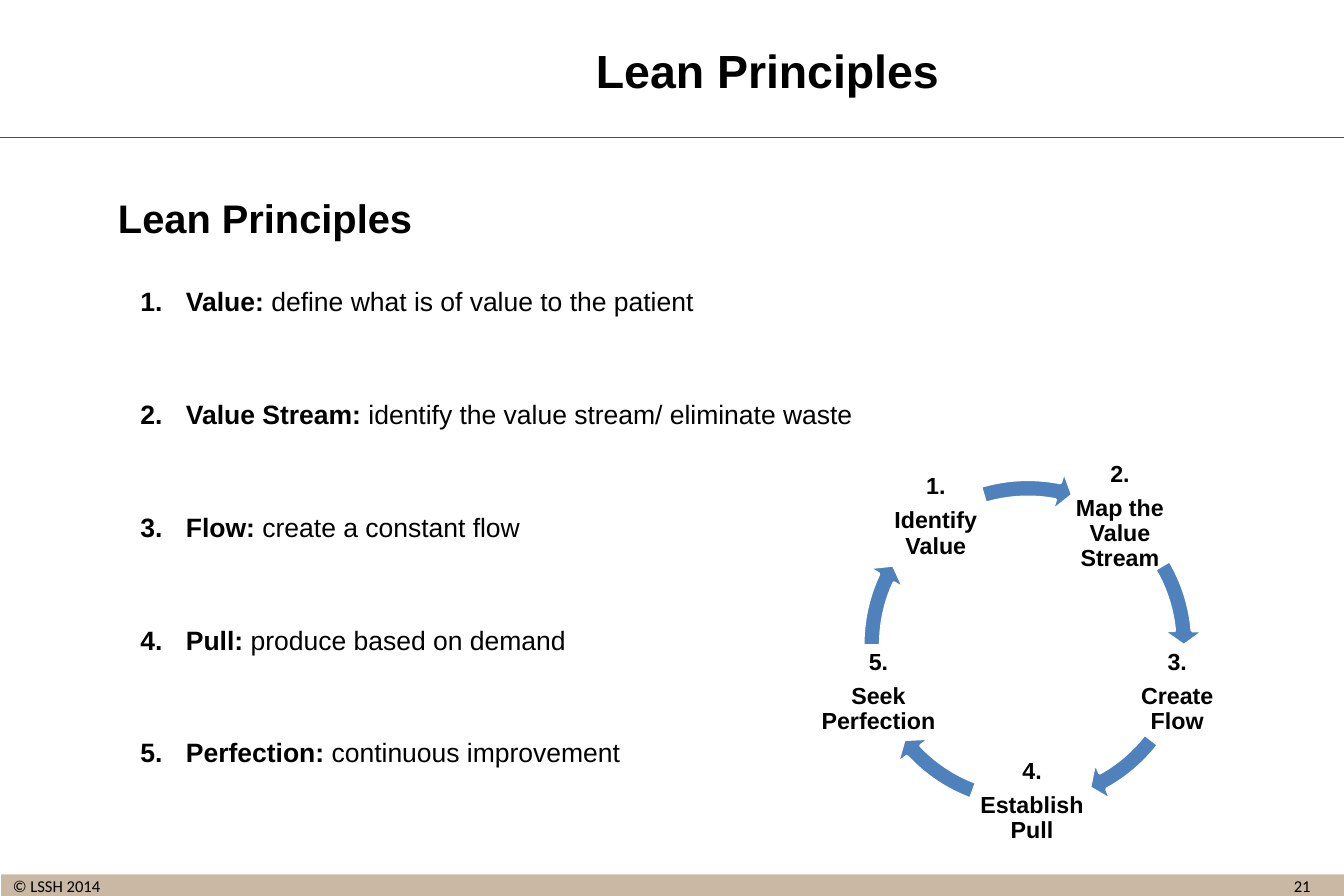
"""Build the Lean Principles slide with its numbered list and five-step cycle."""
from dataclasses import dataclass

from lxml.etree import SubElement
from pptx import Presentation
from pptx.dml.color import RGBColor
from pptx.enum.shapes import MSO_CONNECTOR, MSO_SHAPE
from pptx.enum.text import MSO_ANCHOR, PP_ALIGN
from pptx.oxml.ns import qn
from pptx.slide import Slide
from pptx.util import Pt

COLORS = {"text": "000000", "band": "C8B8A4", "rule": "C41721",
          "arrow": "4F81BD", "edge": "FFFFFF"}
SLIDE_WIDTH, SLIDE_HEIGHT = 810, 540
CYCLE_LEFT, CYCLE_TOP, CYCLE_SIZE = 512.6, 281.5, 213.8
STEP_HEIGHT = 56.9


@dataclass(frozen=True)
class Line:
    """One paragraph: a bold lead and a regular rest."""
    lead: str
    rest: str = ""
    size: float = 16
    before: float = 0
    after: float = 0
    numbered: bool = False


@dataclass(frozen=True)
class Step:
    """One cycle step and the angles of the arrow leaving it."""
    number: str
    label: str
    center: float
    top: float
    width: float
    arrow_end: float
    arrow_start: float


PRINCIPLES = [
    ("Value: ", "define what is of value to the patient"),
    ("Value Stream: ", "identify the value stream/ eliminate waste"),
    ("Flow: ", "create a constant flow"),
    ("Pull: ", "produce based on demand"),
    ("Perfection: ", "continuous improvement"),
]

STEPS = [
    Step("2.", "Map the Value Stream", 675, 283, 56.9, 212.94, 197.66),
    Step("3.", "Create Flow", 709.5, 389, 56.9, 36.65, 22.51),
    Step("4.", "Establish Pull", 622, 454.5, 70.5, 82.13, 66.2),
    Step("5.", "Seek Perfection", 529.5, 389, 85.5, 122.99, 107.7),
    Step("1.", "Identify Value", 564, 283, 56.9, 168.66, 151.98),
]


def color(name: str) -> RGBColor:
    """Look up a named colour."""
    return RGBColor.from_string(COLORS[name])


def add_text(slide: Slide, lines: list[Line], left: float, top: float,
             width: float, height: float, *, font: str = "Arial",
             bold: bool = True, align: PP_ALIGN = PP_ALIGN.CENTER,
             anchor: MSO_ANCHOR = MSO_ANCHOR.MIDDLE, spacing: float = 1.0,
             inset_x: float = 7.2, inset_y: float = 3.6,
             wrap: bool = True) -> None:
    """Add a text box holding the given lines."""
    frame = slide.shapes.add_textbox(
        Pt(left), Pt(top), Pt(width), Pt(height)).text_frame
    frame.word_wrap = wrap
    frame.vertical_anchor = anchor
    frame.margin_left = frame.margin_right = Pt(inset_x)
    frame.margin_top = frame.margin_bottom = Pt(inset_y)
    for index, line in enumerate(lines):
        paragraph = frame.add_paragraph() if index else frame.paragraphs[0]
        if line.numbered:
            properties = paragraph._p.get_or_add_pPr()
            properties.set("marL", str(Pt(41)))
            properties.set("indent", str(Pt(-27.4)))
            SubElement(properties, qn("a:buAutoNum"), type="arabicPeriod")
        paragraph.alignment = align
        paragraph.line_spacing = spacing
        paragraph.space_before = Pt(line.before)
        paragraph.space_after = Pt(line.after)
        for content, heavy in ((line.lead, bold), (line.rest, False)):
            if content:
                run = paragraph.add_run()
                run.text = content
                run.font.name = font
                run.font.size = Pt(line.size)
                run.font.bold = heavy
                run.font.color.rgb = color("text")


def add_frame(slide: Slide) -> None:
    """Draw the footer band, its texts and the rule under the title."""
    band = slide.shapes.add_shape(
        MSO_SHAPE.RECTANGLE, Pt(0.7), Pt(527), Pt(SLIDE_WIDTH), Pt(14.4))
    band.shadow.inherit = False
    band.fill.solid()
    band.fill.fore_color.rgb = color("band")
    band.line.fill.background()
    add_text(slide, [Line("21", size=10)], 758.9, 527.8, 51.8, 15,
             font="Calibri", bold=False, anchor=MSO_ANCHOR.TOP, inset_y=0)
    add_text(slide, [Line("© LSSH 2014", size=10)], 0.7, 525.6, 114.5, 14.4,
             font="Calibri", bold=False, align=PP_ALIGN.LEFT,
             anchor=MSO_ANCHOR.BOTTOM, inset_y=0, wrap=False)
    rule = slide.shapes.add_connector(
        MSO_CONNECTOR.STRAIGHT, Pt(0), Pt(82.8), Pt(SLIDE_WIDTH), Pt(82.8))
    rule.line.color.rgb = color("rule")
    rule.line.width = Pt(0.75)
    SubElement(rule._element.spPr, qn("a:effectLst"))


def add_step(slide: Slide, step: Step) -> None:
    """Draw one cycle step and the arrow to the next."""
    add_text(slide, [Line(step.number, size=14, after=5.5),
                     Line(step.label, size=14)],
             step.center - step.width / 2, step.top, step.width, STEP_HEIGHT,
             spacing=0.9, inset_x=1.4, inset_y=1.4)
    arrow = slide.shapes.add_shape(
        MSO_SHAPE.CIRCULAR_ARROW, Pt(CYCLE_LEFT), Pt(CYCLE_TOP),
        Pt(CYCLE_SIZE), Pt(CYCLE_SIZE))
    angles = (0.05, 3.36, step.arrow_end, step.arrow_start, 0.06)
    for index, value in enumerate(angles):
        arrow.adjustments[index] = value
    arrow.shadow.inherit = False
    arrow.fill.solid()
    arrow.fill.fore_color.rgb = color("arrow")
    arrow.line.color.rgb = color("edge")
    arrow.line.width = Pt(2)


def main() -> None:
    """Assemble and save the slide."""
    deck = Presentation()
    deck.slide_width, deck.slide_height = Pt(SLIDE_WIDTH), Pt(SLIDE_HEIGHT)
    slide = deck.slides.add_slide(deck.slide_layouts[6])
    add_frame(slide)
    add_text(slide, [Line("Lean Principles", size=28)], 175.5, 18.7, 574, 47.5)
    principles = [
        Line(name, meaning, before=48.8 if index else 26.5, numbered=True)
        for index, (name, meaning) in enumerate(PRINCIPLES)]
    add_text(slide, [Line("Lean Principles", size=24), *principles],
             64, 113, 701.5, 397, align=PP_ALIGN.LEFT, anchor=MSO_ANCHOR.TOP)
    for step in STEPS:
        add_step(slide, step)
    deck.save("out.pptx")


if __name__ == "__main__":
    main()
